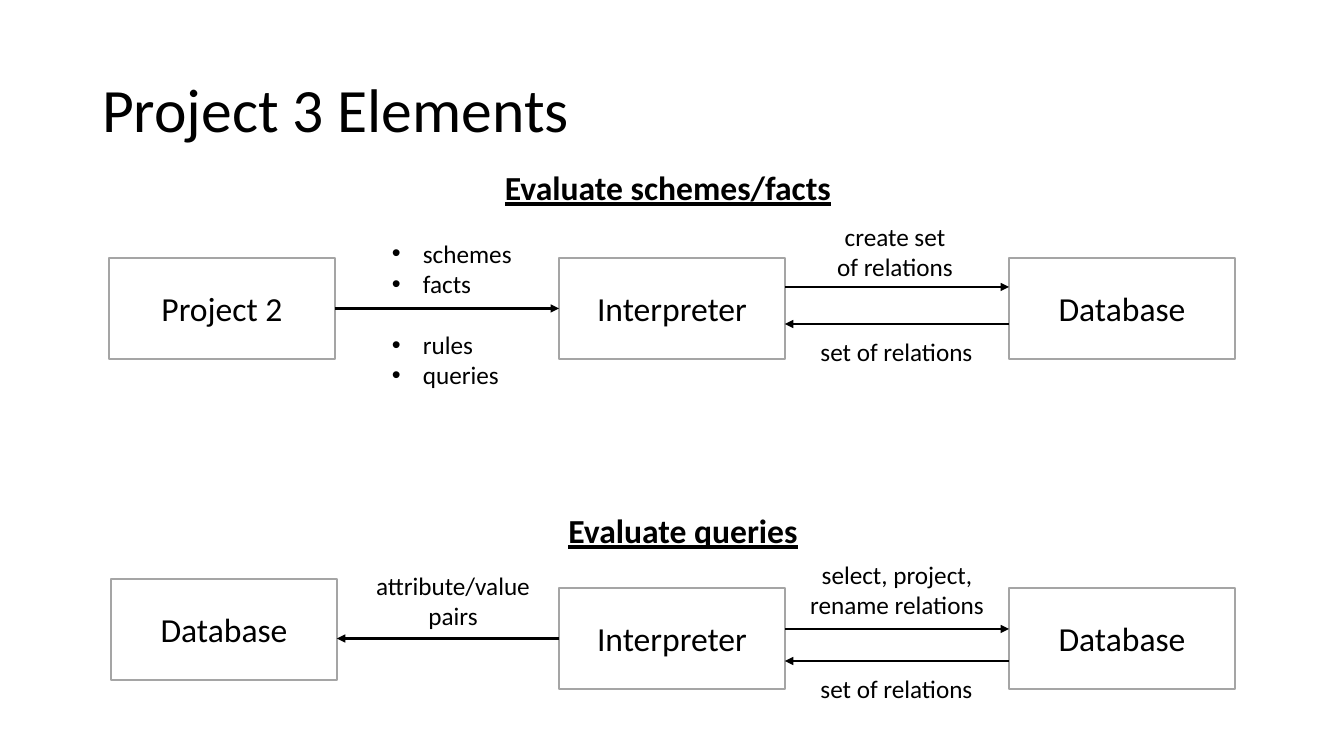
"""Build the Project 3 Elements slide with its two data-flow diagrams."""
from lxml.etree import SubElement
from pptx import Presentation
from pptx.dml.color import RGBColor
from pptx.enum.shapes import MSO_CONNECTOR, MSO_SHAPE
from pptx.enum.text import MSO_ANCHOR, PP_ALIGN
from pptx.oxml.ns import qn
from pptx.util import Emu, Pt

BLACK = RGBColor(0x00, 0x00, 0x00)
WHITE = RGBColor(0xFF, 0xFF, 0xFF)
GRAY = RGBColor(0xA5, 0xA5, 0xA5)
FONT = "Calibri"
LEFT_SIDE, RIGHT_SIDE = 1, 3
BOX_WIDTH, BOX_HEIGHT = 226, 101
BULLET_INDENT = 31

TITLE = "Project 3 Elements"
BOXES = {
    "facts source": ("Project 2", 109, 258),
    "facts interpreter": ("Interpreter", 559, 258),
    "facts database": ("Database", 1009, 258),
    "query interpreter": ("Interpreter", 559, 588),
    "query database": ("Database", 1009, 588),
    "query source": ("Database", 111, 579),
}
ARROWS = [
    (335, 559, 308, ("facts source", RIGHT_SIDE), ("facts interpreter", LEFT_SIDE)),
    (785, 1009, 287, None, None),
    (1009, 785, 324, None, None),
    (559, 337, 638, ("query interpreter", LEFT_SIDE), None),
    (785, 1009, 629, None, None),
    (1009, 785, 661, None, None),
]
HEADINGS = [
    ("Evaluate schemes/facts", 439, 162),
    ("Evaluate queries", 454, 505),
]
LABELS = [
    (["create set", "of relations"], 559, 216, 672),
    (["set of relations"], 799, 331, 195),
    (["attribute/value", "pairs"], 117, 565, 672),
    (["select, project,", "rename relations"], 561, 554, 672),
    (["set of relations"], 799, 668, 195),
]
BULLETS = [("schemes", 0), ("facts", 0), ("rules", 22), ("queries", 0)]


def px(length):
    return Emu(round(length * 914400 / 100.8))


def add_span(para, text, size, strong=False):
    span = para.add_run()
    span.text = text
    font = span.font
    font.name, font.size, font.color.rgb = FONT, Pt(size), BLACK
    if strong:
        font.bold = font.underline = True


def add_lines(frame, lines, size, strong=False):
    for index, line in enumerate(lines):
        para = frame.add_paragraph() if index else frame.paragraphs[0]
        para.alignment = PP_ALIGN.CENTER
        add_span(para, line, size, strong)


def add_text_frame(page, left, top, width, height):
    frame = page.shapes.add_textbox(px(left), px(top), px(width), px(height)).text_frame
    frame.word_wrap = True
    return frame


def add_box(page, text, left, top):
    box = page.shapes.add_shape(
        MSO_SHAPE.RECTANGLE, px(left), px(top), px(BOX_WIDTH), px(BOX_HEIGHT))
    box.shadow.inherit = False
    box.fill.solid()
    box.fill.fore_color.rgb = WHITE
    box.line.color.rgb = GRAY
    box.line.width = Pt(1)
    box.text_frame.vertical_anchor = MSO_ANCHOR.MIDDLE
    add_lines(box.text_frame, [text], 24)
    return box


def add_arrow(page, boxes, start, end, level, source, target):
    if source:
        level = BOXES[source[0]][2] + BOX_HEIGHT / 2
    arrow = page.shapes.add_connector(
        MSO_CONNECTOR.STRAIGHT, px(start), px(level), px(end), px(level))
    if source:
        arrow.begin_connect(boxes[source[0]], source[1])
    if target:
        arrow.end_connect(boxes[target[0]], target[1])
    arrow.line.color.rgb = BLACK
    arrow.line.width = Pt(1.5)
    SubElement(arrow.line._get_or_add_ln(), qn("a:tailEnd"), type="triangle")
    SubElement(arrow._element.spPr, qn("a:effectLst"))


def add_bullets(page):
    frame = add_text_frame(page, 382, 233, 142, 163)
    for index, (text, gap) in enumerate(BULLETS):
        para = frame.add_paragraph() if index else frame.paragraphs[0]
        properties = para._p.get_or_add_pPr()
        properties.set("marL", str(px(BULLET_INDENT)))
        properties.set("indent", str(-px(BULLET_INDENT)))
        SubElement(properties, qn("a:buFont"), typeface="Arial")
        SubElement(properties, qn("a:buChar"), char="•")
        if gap:
            para.space_before = Pt(gap)
        add_span(para, text, 18)


def add_title(page):
    title = page.shapes.title
    title.left, title.top, title.width, title.height = map(px, (92, 40, 1159, 146))
    title.text_frame.vertical_anchor = MSO_ANCHOR.MIDDLE
    para = title.text_frame.paragraphs[0]
    para.alignment = PP_ALIGN.LEFT
    para.line_spacing = 0.9
    add_span(para, TITLE, 44)


def main():
    deck = Presentation()
    deck.slide_width, deck.slide_height = px(1344), px(756)
    page = deck.slides.add_slide(deck.slide_layouts[5])
    add_title(page)
    boxes = {name: add_box(page, *place) for name, place in BOXES.items()}
    for arrow in ARROWS:
        add_arrow(page, boxes, *arrow)
    add_bullets(page)
    for text, left, top in HEADINGS:
        add_lines(add_text_frame(page, left, top, 458, 50), [text], 24, True)
    for lines, left, top, width in LABELS:
        height = 10 + 31 * len(lines)
        add_lines(add_text_frame(page, left, top, width, height), lines, 18)
    deck.save("out.pptx")


if __name__ == "__main__":
    main()
